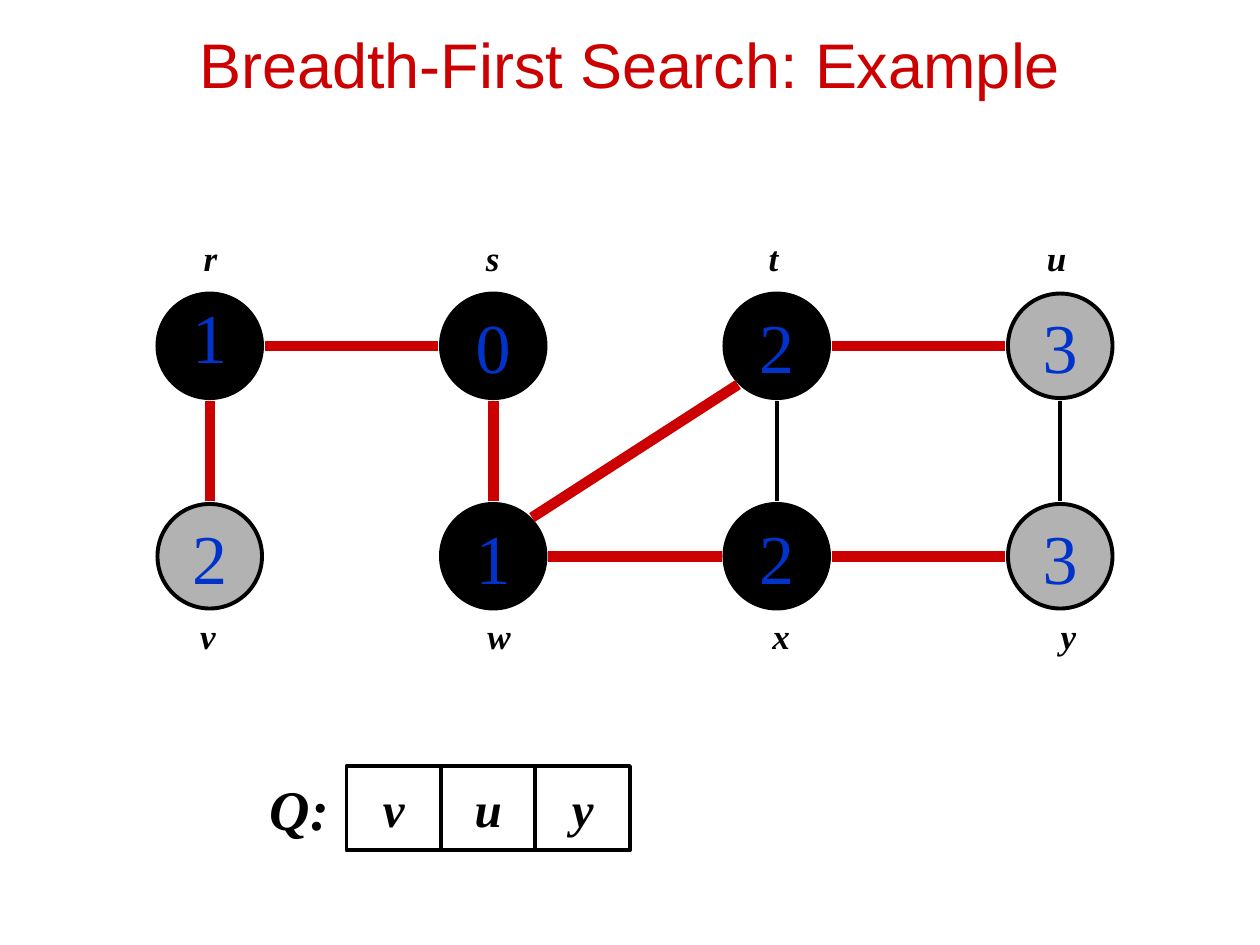
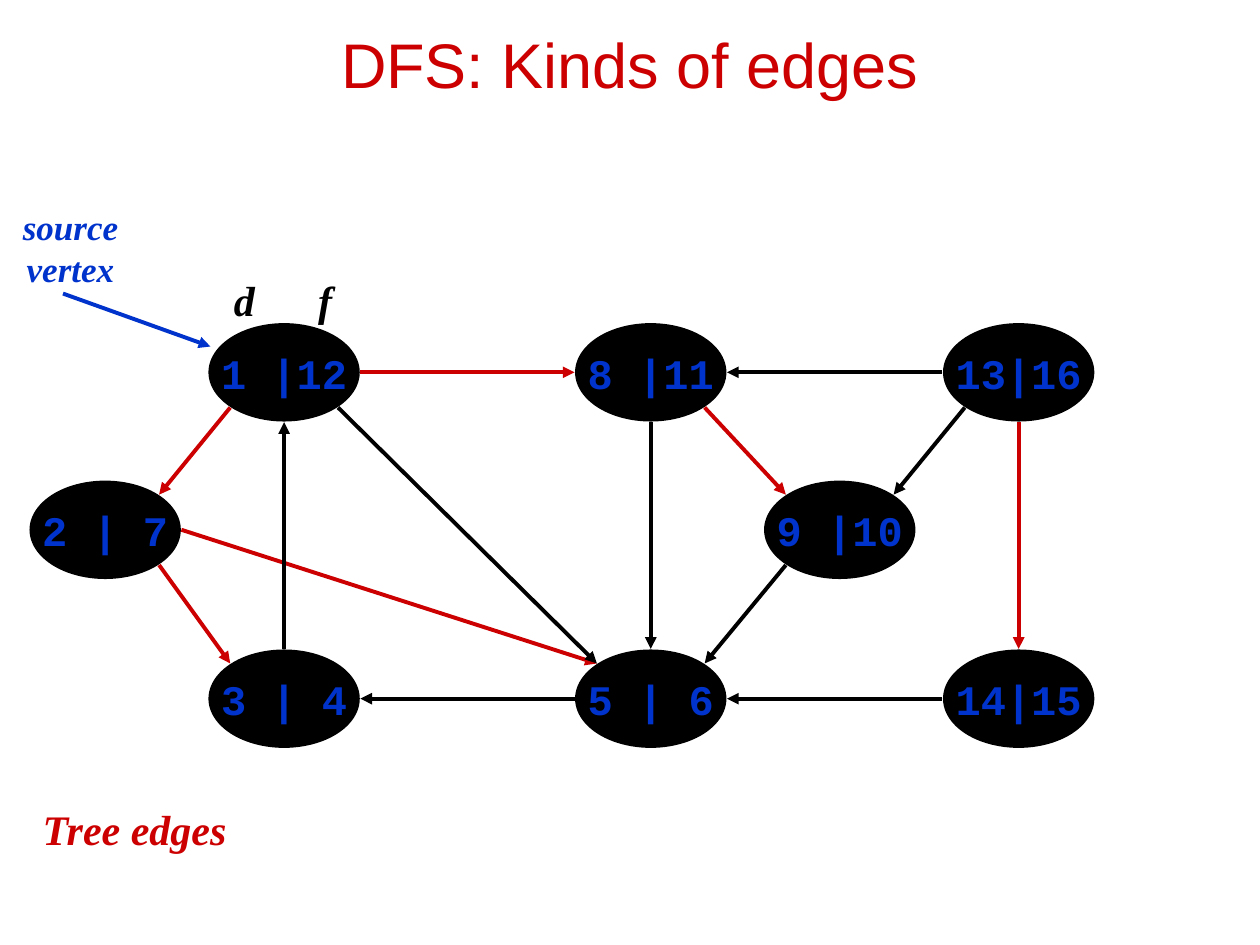
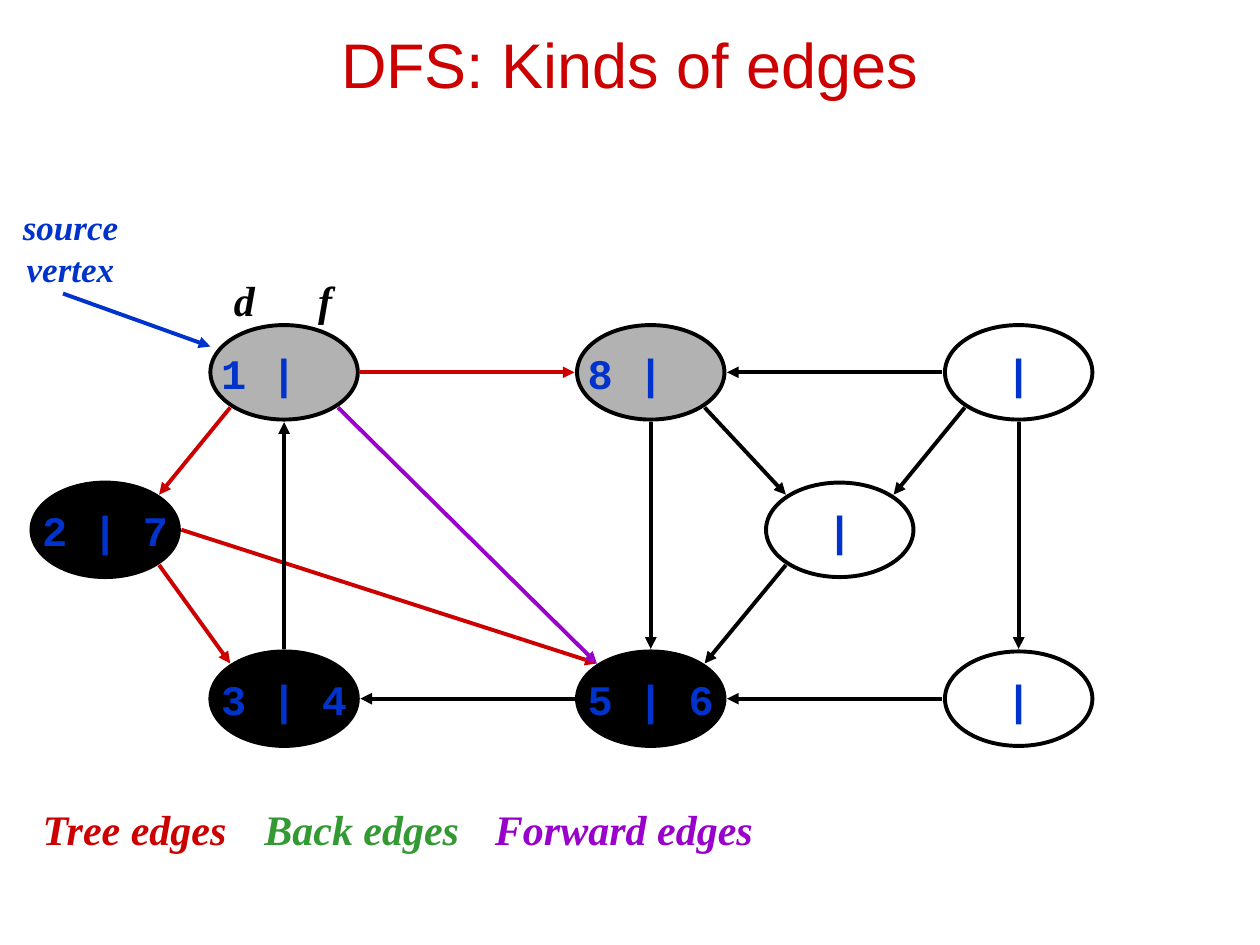
from math import hypot

from lxml import etree
from pptx import Presentation
from pptx.dml.color import RGBColor
from pptx.enum import shapes, text
from pptx.oxml.ns import qn
from pptx.util import Inches, Pt

RED = RGBColor(0xCC, 0x00, 0x00)
BLUE = RGBColor(0x00, 0x33, 0xCC)
GREEN = RGBColor(0x33, 0x99, 0x33)
PURPLE = RGBColor(0x99, 0x00, 0xCC)
BLACK = RGBColor(0x00, 0x00, 0x00)
GRAY = RGBColor(0xB2, 0xB2, 0xB2)
SERIF, SANS, MONO = "Times New Roman", "Arial", "Courier New"
OVAL, RECT = shapes.MSO_SHAPE.OVAL, shapes.MSO_SHAPE.RECTANGLE
CENTER, LEFT = text.PP_ALIGN.CENTER, text.PP_ALIGN.LEFT
MIDDLE, TOP = text.MSO_ANCHOR.MIDDLE, text.MSO_ANCHOR.TOP

GAP = 0.02  # between a vertex and the end of its edge
PORTS = {"n": (0, -1), "e": (1, 0), "s": (0, 1), "w": (-1, 0),
         "ne": (1, -1), "se": (1, 1), "sw": (-1, 1), "nw": (-1, -1)}

# Breadth-first search: vertex -> distance, fill, centre of its label
BFS_ROWS = [
    (2.33, 1.83, [("r", 1, BLACK, 1.67), ("s", 0, BLACK, 3.91),
                  ("t", 2, BLACK, 6.14), ("u", 3, GRAY, 8.38)]),
    (4.0, 4.83, [("v", 2, GRAY, 1.65), ("w", 1, BLACK, 3.94),
                 ("x", 2, BLACK, 6.2), ("y", 3, GRAY, 8.48)]),
]
BFS_SIZE = (0.83, 0.83)
BFS_TREE = [("v", "n", "r", "s"), ("r", "e", "s", "w"), ("s", "s", "w", "n"),
            ("w", "ne", "t", "sw"), ("w", "e", "x", "w"),
            ("t", "e", "u", "w"), ("x", "e", "y", "w")]
BFS_REST = [("x", "n", "t", "s"), ("y", "n", "u", "s")]
QUEUE = ["v", "u", "y"]

# Depth-first search: vertices a to h, and the edges between them
DFS_SIZE = (1.17, 0.75)
DFS_SPOTS = {"a": (1.67, 2.58), "b": (4.58, 2.58), "c": (7.5, 2.58),
             "d": (0.25, 3.83), "e": (6.08, 3.83),
             "f": (1.67, 5.17), "g": (4.58, 5.17), "h": (7.5, 5.17)}
DFS_EDGES = [("a", "sw", "d", "ne"), ("d", "se", "f", "nw"),
             ("d", "e", "g", "nw"), ("g", "w", "f", "e"),
             ("f", "n", "a", "s"), ("a", "se", "g", "nw"),
             ("b", "s", "g", "n"), ("a", "e", "b", "w"),
             ("c", "w", "b", "e"), ("b", "se", "e", "nw"),
             ("c", "sw", "e", "ne"), ("c", "s", "h", "n"),
             ("h", "w", "g", "e"), ("e", "sw", "g", "ne")]
KEYS = [("Tree edges", RED, 0.24, 1.67), ("Back edges", GREEN, 2, 1.75),
        ("Forward edges", PURPLE, 3.83, 2.25)]
DFS_STEPS = [
    {"times": {"a": (1, 12), "b": (8, 11), "c": (13, 16), "d": (2, 7),
               "e": (9, 10), "f": (3, 4), "g": (5, 6), "h": (14, 15)},
     "tree": ["ad", "df", "dg", "ab", "be", "ch"], "forward": [], "keys": 1},
    {"times": {"a": (1, ""), "b": (8, ""), "c": ("", ""), "d": (2, 7),
               "e": ("", ""), "f": (3, 4), "g": (5, 6), "h": ("", "")},
     "tree": ["ad", "df", "dg", "ab"], "forward": ["ag"], "keys": 3},
]


def write(shape, words, size, color, font=SERIF, bold=True, italic=True,
          align=CENTER, anchor=MIDDLE, wrap=False):
    frame = shape.text_frame
    frame.text = words
    frame.word_wrap = wrap
    frame.vertical_anchor = anchor
    for para in frame.paragraphs:
        para.alignment = align
        face = para.font
        face.name, face.size, face.bold, face.italic = font, Pt(size), bold, italic
        face.color.rgb = color
    return frame


def label(slide, box, words, size, color, **style):
    spot = slide.shapes.add_textbox(*map(Inches, box))
    return write(spot, words, size, color, **style)


def block(slide, kind, box, fill, words, size, color, **style):
    """Outlined shape with centred text; a fill of None leaves it open."""
    shape = slide.shapes.add_shape(kind, *map(Inches, box))
    shape.shadow.inherit = False
    if fill is None:
        shape.fill.background()
    else:
        shape.fill.solid()
        shape.fill.fore_color.rgb = fill
    shape.line.color.rgb = BLACK
    shape.line.width = Pt(2.25)
    return write(shape, words, size, color, **style)


def link(slide, start, end, color, width=2.25, arrow=False):
    line = slide.shapes.add_connector(
        shapes.MSO_CONNECTOR.STRAIGHT, *map(Inches, (*start, *end)))
    line.line.color.rgb = color
    line.line.width = Pt(width)
    props = line._element.spPr
    etree.SubElement(props, qn("a:effectLst"))
    if arrow:
        etree.SubElement(props.find(qn("a:ln")), qn("a:tailEnd"), type="triangle")


def port(spot, size, side):
    """Point just outside an ellipse in a compass direction."""
    dirs = PORTS[side]
    return [at + span / 2 + (span / 2 + GAP) * way / hypot(*dirs)
            for at, span, way in zip(spot, size, dirs)]


def edge(slide, spots, size, ends, color, **style):
    tail, out, head, into = ends
    link(slide, port(spots[tail], size, out), port(spots[head], size, into),
         color, **style)


def start(deck, title):
    slide = deck.slides.add_slide(deck.slide_layouts[6])
    label(slide, (0.5, 0.25, 9, 0.51), title, 36, RED, font=SANS,
          bold=False, italic=False, wrap=True)
    return slide


def bfs(deck):
    slide = start(deck, "Breadth-First Search: Example")
    spots = {}
    for top, high, row in BFS_ROWS:
        for col, (name, dist, fill, mid) in enumerate(row):
            spots[name] = (1.25 + 2.25 * col, top)
            frame = block(slide, OVAL, (*spots[name], *BFS_SIZE), fill,
                          str(dist), 40, BLUE, bold=False, italic=False)
            if name == "r":
                frame.paragraphs[0].line_spacing = 0.7
            label(slide, (mid - 0.17, high, 0.34, 0.43), name, 20, BLACK, anchor=TOP)
    for ends in BFS_TREE:
        edge(slide, spots, BFS_SIZE, ends, RED, width=6)
    for ends in BFS_REST:
        edge(slide, spots, BFS_SIZE, ends, BLACK)
    label(slide, (2, 6.08, 0.75, 0.67), "Q:", 32, BLACK)
    for num, name in enumerate(QUEUE):
        block(slide, RECT, (2.75 + 0.75 * num, 6.08, 0.75, 0.67), None,
              name, 28, BLACK)


def dfs(deck, step):
    slide = start(deck, "DFS: Kinds of edges")
    for name, (found, done) in step["times"].items():
        fill = BLACK if done else GRAY if found else None
        block(slide, OVAL, (*DFS_SPOTS[name], *DFS_SIZE), fill,
              f"{found:<2}|{done:>2}", 24, BLUE, font=MONO, italic=False)
    for ends in DFS_EDGES:
        pair = ends[0] + ends[2]
        color = (RED if pair in step["tree"]
                 else PURPLE if pair in step["forward"] else BLACK)
        edge(slide, DFS_SPOTS, DFS_SIZE, ends, color, arrow=True)
    link(slide, (0.5, 2.33), (1.67, 2.75), BLUE, arrow=True)
    label(slide, (0.08, 1.58, 0.96, 0.77), "source\vvertex", 20, BLUE, anchor=TOP)
    for name, mid in (("d", 1.94), ("f", 2.58)):
        label(slide, (mid - 0.2, 2, 0.4, 0.75), name, 24, BLACK)
    for words, color, left, wide in KEYS[:step["keys"]]:
        label(slide, (left, 6.33, wide, 0.5), words, 24, color,
              align=LEFT, anchor=TOP)


def main():
    deck = Presentation()
    deck.slide_width, deck.slide_height = Inches(10), Inches(7.5)
    bfs(deck)
    for step in DFS_STEPS:
        dfs(deck, step)
    deck.save("out.pptx")


if __name__ == "__main__":
    main()
